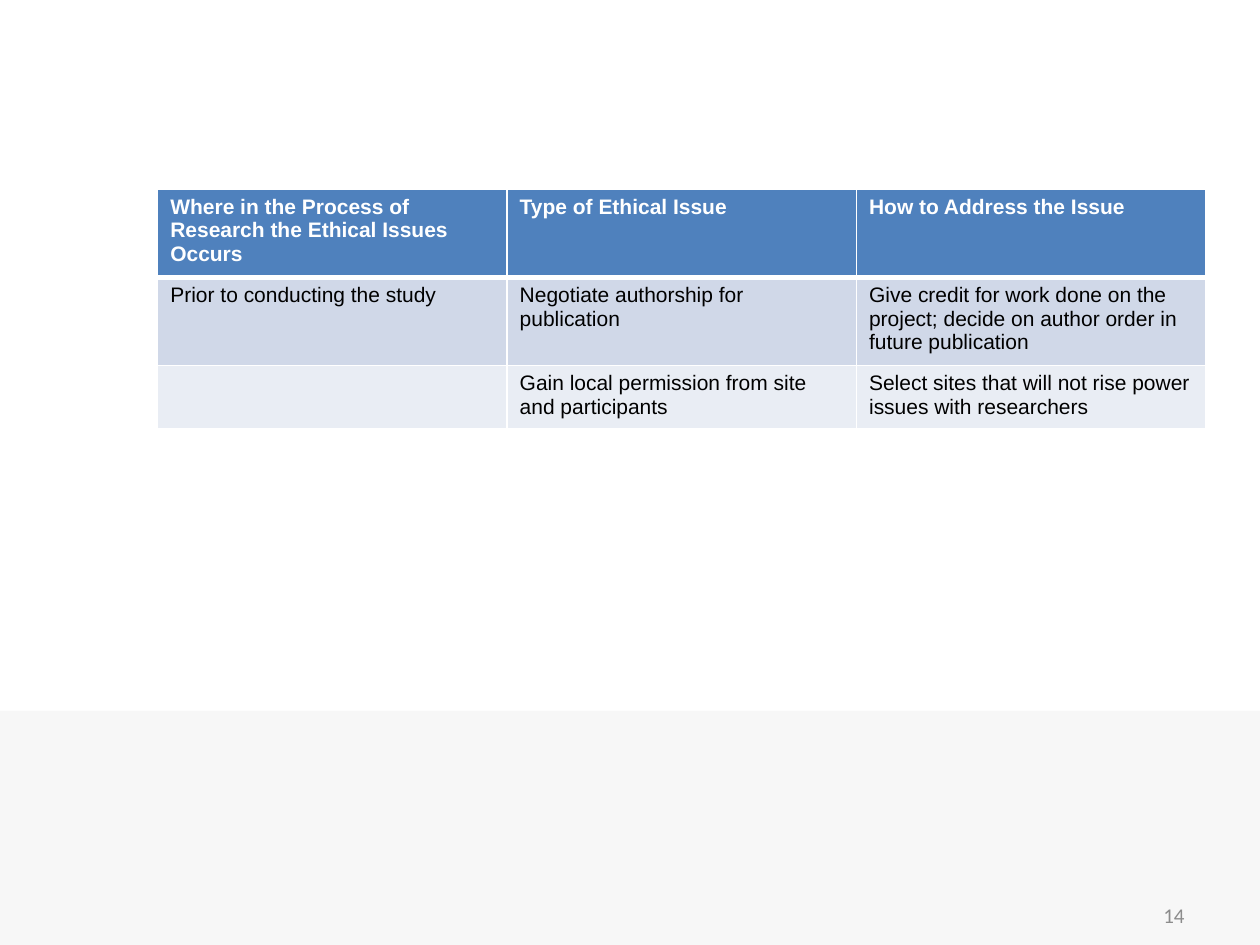
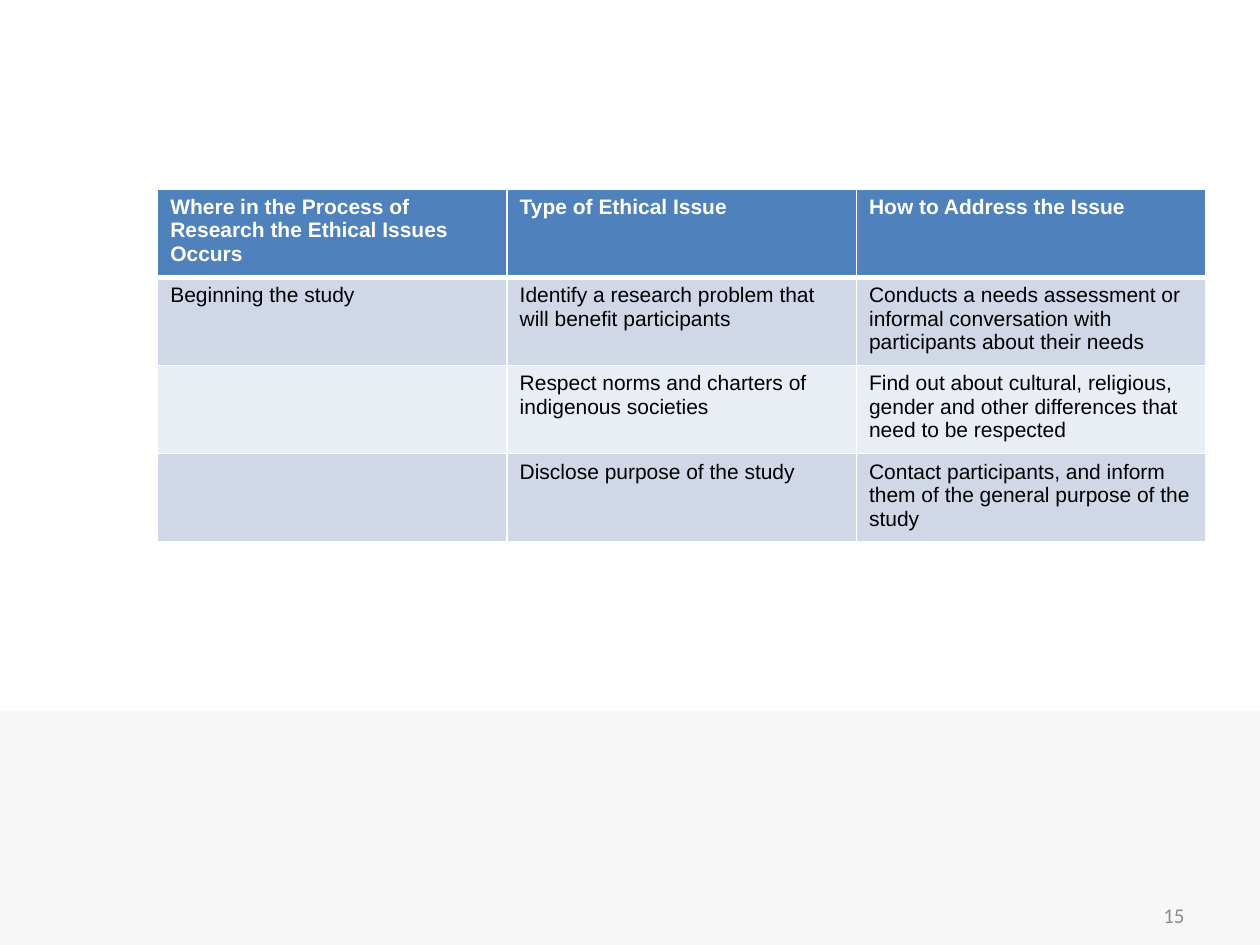
"""Two slides of ethical issues, each a table above a pale footer band."""
from lxml import etree
from pptx import Presentation
from pptx.dml.color import RGBColor
from pptx.enum.shapes import MSO_SHAPE
from pptx.enum.text import MSO_ANCHOR, PP_ALIGN
from pptx.oxml.ns import qn
from pptx.util import Cm, Pt

RECTANGLE = MSO_SHAPE.RECTANGLE
MIDDLE = MSO_ANCHOR.MIDDLE
LEFT, RIGHT = PP_ALIGN.LEFT, PP_ALIGN.RIGHT

WHITE, BLACK = "FFFFFF", "000000"
BAND_GREY, NUMBER_GREY = "F7F7F7", "8C8C8C"
HEADER_BLUE = "4F81BD"
ROW_FILLS = ("D0D8E8", "E9EDF4")
TEXT_SIZE = 12
THIN, THICK = 1, 3

# Boxes: left, top, width, height in centimetres
BAND_BOX = (0, 14.33, 25.4, 4.72)
NUMBER_BOX = (18.21, 17.93, 5.92, 1.02)
TABLE_LEFT, TABLE_TOP, TABLE_WIDTH, ROW_HEIGHT = 3.18, 3.81, 21.13, 1.04

HEADINGS = (
    "Where in the Process of Research the Ethical Issues Occurs",
    "Type of Ethical Issue",
    "How to Address the Issue",
)
PAGES = {
    14: [
        ("Prior to conducting the study",
         "Negotiate authorship for publication",
         "Give credit for work done on the project; decide on author order "
         "in future publication"),
        ("",
         "Gain local permission from site and participants",
         "Select sites that will not rise power issues with researchers"),
    ],
    15: [
        ("Beginning the study",
         "Identify a research problem that will benefit participants",
         "Conducts a needs assessment or informal conversation with "
         "participants about their needs"),
        ("",
         "Respect norms and charters of indigenous societies",
         "Find out about cultural, religious, gender and other differences "
         "that need to be respected"),
        ("",
         "Disclose purpose of the study",
         "Contact participants, and inform them of the general purpose of "
         "the study"),
    ],
}


def colour(value):
    """Turn a hex string into a colour."""
    return RGBColor.from_string(value)


def write(frame, text, font, ink, bold=False, align=LEFT):
    """Write one run into the first paragraph of a text frame."""
    para = frame.paragraphs[0]
    para.alignment = align
    span = para.add_run()
    span.text = text
    span.font.name = font
    span.font.size = Pt(TEXT_SIZE)
    span.font.bold = bold
    span.font.color.rgb = colour(ink)


def add_borders(cell, top, bottom):
    """Give a cell white borders; top and bottom widths are in points."""
    properties = cell._tc.get_or_add_tcPr()
    widths = {"a:lnL": THIN, "a:lnR": THIN, "a:lnT": top, "a:lnB": bottom}
    for place, (tag, width) in enumerate(widths.items()):
        line = etree.Element(qn(tag), w=str(Pt(width)))
        fill = etree.SubElement(line, qn("a:solidFill"))
        etree.SubElement(fill, qn("a:srgbClr"), val=WHITE)
        properties.insert(place, line)


def add_band(page, box):
    """Draw the pale band along the foot of the page."""
    band = page.shapes.add_shape(RECTANGLE, *map(Cm, box))
    band.shadow.inherit = False
    band.fill.solid()
    band.fill.fore_color.rgb = colour(BAND_GREY)
    band.line.fill.background()


def add_number(page, box, number):
    """Write the page number at the right of its box."""
    frame = page.shapes.add_textbox(*map(Cm, box)).text_frame
    frame.word_wrap = True
    frame.vertical_anchor = MIDDLE
    write(frame, str(number), "Calibri", NUMBER_GREY, align=RIGHT)


def add_issues(page, left, top, width, rows):
    """Place the table of issues: a heading row, then banded rows."""
    lines = [HEADINGS, *rows]
    box = (left, top, width, ROW_HEIGHT * len(lines))
    table = page.shapes.add_table(
        len(lines), len(HEADINGS), *map(Cm, box)).table
    for row, texts in enumerate(lines):
        heading = row == 0
        fill = HEADER_BLUE if heading else ROW_FILLS[(row - 1) % 2]
        for column, text in enumerate(texts):
            cell = table.cell(row, column)
            cell.fill.solid()
            cell.fill.fore_color.rgb = colour(fill)
            add_borders(cell, top=THICK if row == 1 else THIN,
                        bottom=THICK if heading else THIN)
            if text:
                write(cell.text_frame, text, "Arial",
                      WHITE if heading else BLACK, bold=heading)


def add_page(deck, number, rows):
    """Build one page with its band, number and table."""
    page = deck.slides.add_slide(deck.slide_layouts[6])
    page.background.fill.solid()
    page.background.fill.fore_color.rgb = colour(WHITE)
    add_band(page, BAND_BOX)
    add_number(page, NUMBER_BOX, number)
    add_issues(page, TABLE_LEFT, TABLE_TOP, TABLE_WIDTH, rows)


def main():
    """Build the deck and save it."""
    deck = Presentation()
    deck.slide_width, deck.slide_height = Cm(25.4), Cm(19.05)
    for number, rows in PAGES.items():
        add_page(deck, number, rows)
    deck.save("out.pptx")


main()
